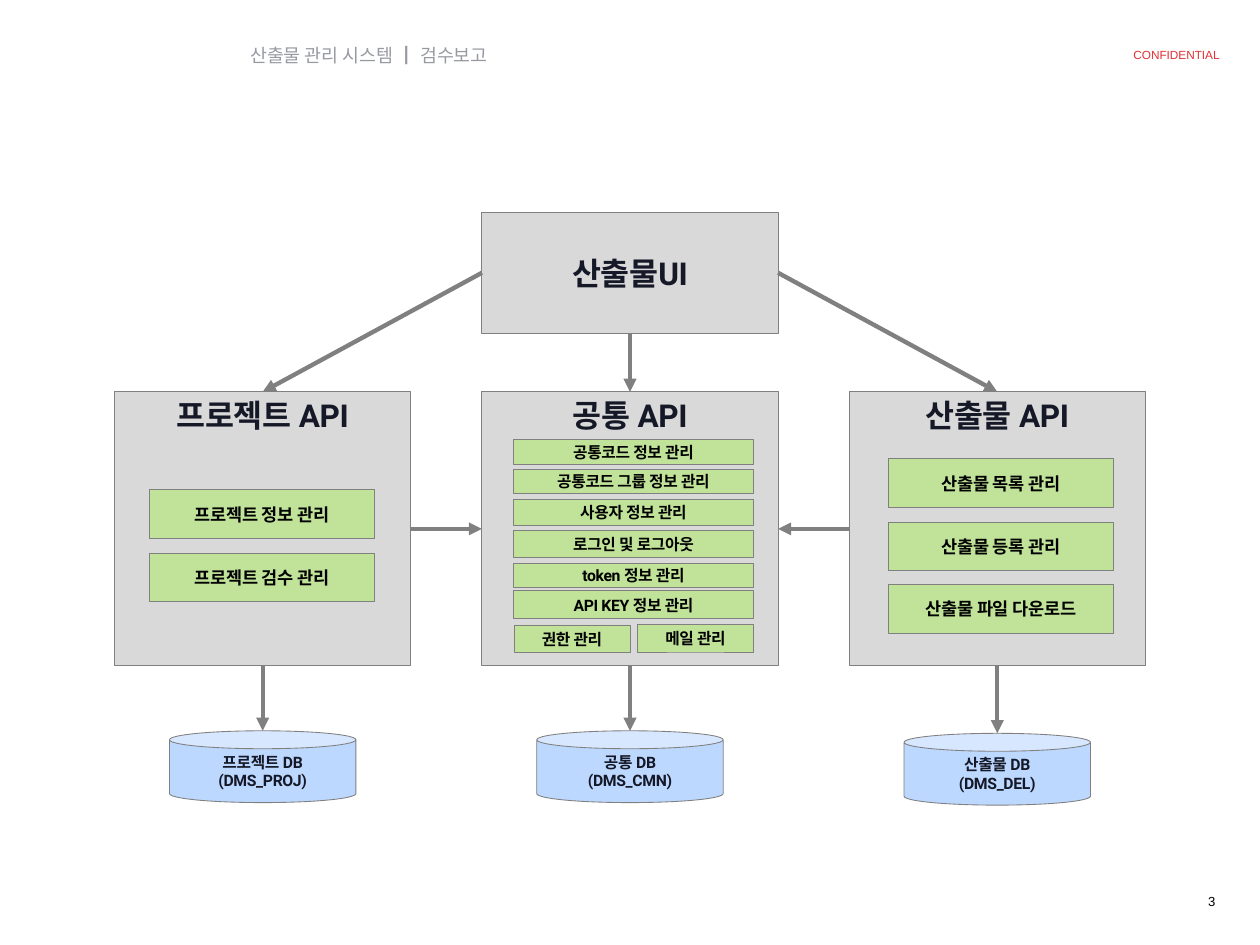
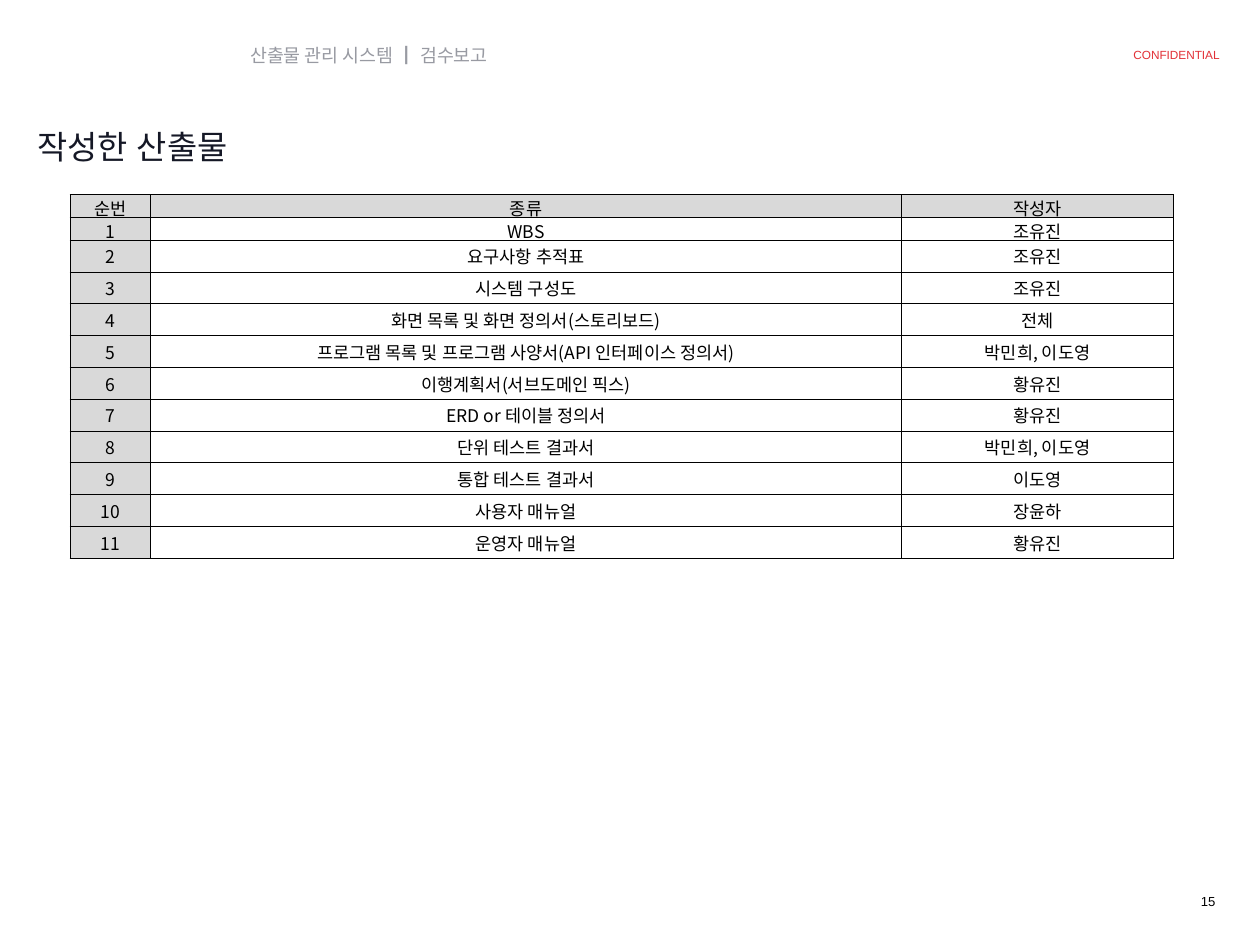
from dataclasses import dataclass

from lxml import etree
from pptx import Presentation
from pptx import util as u
from pptx.dml import color
from pptx.enum import shapes, text
from pptx.oxml import ns

Inch = u.Inches
Kind = shapes.MSO_SHAPE
Side = text.PP_ALIGN
Hold = text.MSO_ANCHOR


@dataclass(frozen=True)
class Theme:
    ink: str = "151826"
    black: str = "000000"
    white: str = "FFFFFF"
    mute: str = "989AA2"
    red: str = "E23137"
    gray: str = "D9D9D9"
    edge: str = "808080"
    green: str = "C0E399"
    blue: str = "BDD8FF"
    plain: str = "Arial"
    hangul: str = "Noto Sans CJK KR"
    strong: str = "Roboto"
    title: float = 37.5
    big: float = 36
    head: float = 21
    body: float = 20
    small: float = 18
    page: float = 15
    tag: float = 13.5


T = Theme()
PITCH = 5.83
LEFT = 1.82
WIDE = 4.7
TOP, TALL = 6.22, 4.35

ITEMS = [
    (2.37, 3.58, T.body, [
        (7.77, 0.78, "프로젝트 정보 관리"),
        (8.79, 0.76, "프로젝트 검수 관리"),
    ]),
    (8.15, 3.81, T.small, [
        (6.98, 0.39, "공통코드 정보 관리"),
        (7.45, 0.39, "공통코드 그룹 정보 관리"),
        (7.92, 0.42, "사용자 정보 관리"),
        (8.42, 0.43, "로그인 및 로그아웃"),
        (8.95, 0.37, "token 정보 관리"),
        (9.38, 0.44, "API KEY 정보 관리"),
    ]),
    (8.16, 1.84, T.small, [(9.92, 0.44, "권한 관리")]),
    (10.12, 1.84, T.small, [(9.91, 0.44, "메일 관리")]),
    (14.1, 3.58, T.body, [
        (7.28, 0.78, "산출물 목록 관리"),
        (8.3, 0.76, "산출물 등록 관리"),
        (9.27, 0.78, "산출물 파일 다운로드"),
    ]),
]

STORES = [
    ("프로젝트", "DMS_PROJ", 11.6),
    ("공통", "DMS_CMN", 11.6),
    ("산출물", "DMS_DEL", 11.64),
]

HEADS = ("순번", "종류", "작성자")
WORKS = [
    ("WBS", "조유진"),
    ("요구사항 추적표", "조유진"),
    ("시스템 구성도", "조유진"),
    ("화면 목록 및 화면 정의서(스토리보드)", "전체"),
    ("프로그램 목록 및 프로그램 사양서(API 인터페이스 정의서)", "박민희, 이도영"),
    ("이행계획서(서브도메인 픽스)", "황유진"),
    ("ERD or 테이블 정의서", "황유진"),
    ("단위 테스트 결과서", "박민희, 이도영"),
    ("통합 테스트 결과서", "이도영"),
    ("사용자 매뉴얼", "장윤하"),
    ("운영자 매뉴얼", "황유진"),
]


def rgb(tint):
    return color.RGBColor.from_string(tint)


def node(base, tag, **attrs):
    item = etree.SubElement(base, ns.qn(tag))
    for key, value in attrs.items():
        item.set(key, str(value))
    return item


def paint(item, tint):
    item.fill.solid()
    item.fill.fore_color.rgb = rgb(tint)


def write(frame, words, size=T.body, font=T.strong, tint=T.ink, bold=False,
          align=Side.CENTER, gap=None):
    for spot, line in enumerate(words.split("\n")):
        para = frame.add_paragraph() if spot else frame.paragraphs[0]
        para.alignment = align
        run = para.add_run()
        run.text = line
        run.font.size = u.Pt(size)
        run.font.name = font
        run.font.bold = bold
        run.font.color.rgb = rgb(tint)
        props = run.font._element
        node(props, "a:ea", typeface=font)
        if gap is not None:
            props.set("spc", str(round(gap * 100)))


def inset(frame, side, rise):
    frame.margin_left = frame.margin_right = Inch(side)
    frame.margin_top = frame.margin_bottom = Inch(rise)


def label(slide, words, area, pad=(0.04, 0.04), wrap=True, **style):
    frame = slide.shapes.add_textbox(*map(Inch, area)).text_frame
    frame.word_wrap = wrap
    frame.vertical_anchor = Hold.MIDDLE
    inset(frame, *pad)
    write(frame, words, **style)


def box(slide, words, area, fill, kind=Kind.RECTANGLE, hold=Hold.MIDDLE, **style):
    shape = slide.shapes.add_shape(kind, *map(Inch, area))
    shape.shadow.inherit = False
    paint(shape, fill)
    shape.line.color.rgb = rgb(T.edge)
    shape.line.width = u.Pt(1)
    frame = shape.text_frame
    frame.word_wrap = True
    frame.vertical_anchor = hold
    inset(frame, 0.06, 0.06)
    write(frame, words, bold=True, gap=-0.4, **style)


def arrow(slide, start, end):
    link = slide.shapes.add_connector(
        shapes.MSO_CONNECTOR.STRAIGHT, *map(Inch, start + end))
    link.line.color.rgb = rgb(T.edge)
    link.line.width = u.Pt(5)
    node(link.line._get_or_add_ln(), "a:tailEnd", type="triangle")
    node(link._element.spPr, "a:effectLst")


def border(cell):
    props = cell._tc.get_or_add_tcPr()
    for spot, side in enumerate(("L", "R", "T", "B")):
        line = node(props, f"a:ln{side}", w=u.Pt(0.5))
        node(node(line, "a:solidFill"), "a:srgbClr", val=T.black)
        props.insert(spot, line)


def grid(slide, rows, area, cols, tall):
    table = slide.shapes.add_table(len(rows), len(cols), *map(Inch, area)).table
    table.first_row = table.horz_banding = False
    for col, width in zip(table.columns, cols):
        col.width = Inch(width)
    for row, height in zip(table.rows, tall):
        row.height = Inch(height)
    for y, row in enumerate(rows):
        for x, words in enumerate(row):
            cell = table.cell(y, x)
            paint(cell, T.gray if y == 0 or x == 0 else T.white)
            border(cell)
            cell.vertical_anchor = Hold.MIDDLE
            cell.margin_left = cell.margin_right = cell.margin_top = Inch(0.01)
            cell.margin_bottom = 0
            write(cell.text_frame, words, font=T.hangul, tint=T.black)


def start(deck, page):
    slide = deck.slides.add_slide(deck.slide_layouts[6])
    label(slide, "CONFIDENTIAL", (17.87, 0.72, 1.53, 0.29), wrap=False,
          size=T.tag, font=T.plain, tint=T.red, align=Side.RIGHT)
    label(slide, "산출물 관리 시스템 ┃ 검수보고", (3.93, 0.65, 13.25, 0.44),
          size=T.head, font=T.hangul, tint=T.mute, align=Side.LEFT)
    label(slide, str(page), (15.95, 14.15, 3.44, 0.32), pad=(0.1, 0.05),
          size=T.page, font=T.plain, tint=T.black, align=Side.RIGHT)
    return slide


def system(deck):
    slide = start(deck, 3)
    left, right = LEFT + PITCH, LEFT + PITCH + WIDE
    mid, base = 4.33, TOP + TALL
    box(slide, "산출물UI", (left, 3.37, WIDE, 1.93), T.gray, size=T.big)
    for spot, (name, store, drop) in enumerate(STORES):
        edge = LEFT + spot * PITCH
        axis = edge + WIDE / 2
        box(slide, f"{name} API", (edge, TOP, WIDE, TALL), T.gray,
            hold=Hold.TOP, size=T.big)
        box(slide, f"{name} DB\n({store})", (axis - 1.48, drop, 2.96, 1.14),
            T.blue, kind=Kind.CAN, size=T.small)
        origin = ((left, mid), (axis, 5.3), (right, mid))[spot]
        arrow(slide, origin, (axis, TOP))
        arrow(slide, (axis, base), (axis, drop))
    for edge, wide, size, tasks in ITEMS:
        for top, tall, words in tasks:
            box(slide, words, (edge, top, wide, tall), T.green,
                size=size, tint=T.black)
    level = TOP + TALL / 2
    arrow(slide, (LEFT + WIDE, level), (left, level))
    arrow(slide, (LEFT + 2 * PITCH, level), (right, level))


def works(deck):
    slide = start(deck, 15)
    label(slide, "작성한 산출물", (0.55, 1.97, 18.9, 0.72),
          size=T.title, font=T.plain, align=Side.LEFT)
    rows = [HEADS] + [(str(num), *work) for num, work in enumerate(WORKS, 1)]
    slim, full = 0.36, 5.77
    rest = len(rows) - 2
    tall = [slim] * 2 + [(full - 2 * slim) / rest] * rest
    grid(slide, rows, (1.11, 3.09, 17.52, full), (1.28, 11.92, 4.32), tall)


def main():
    deck = Presentation()
    deck.slide_width, deck.slide_height = Inch(20), Inch(15)
    system(deck)
    works(deck)
    deck.save("out.pptx")


if __name__ == "__main__":
    main()
